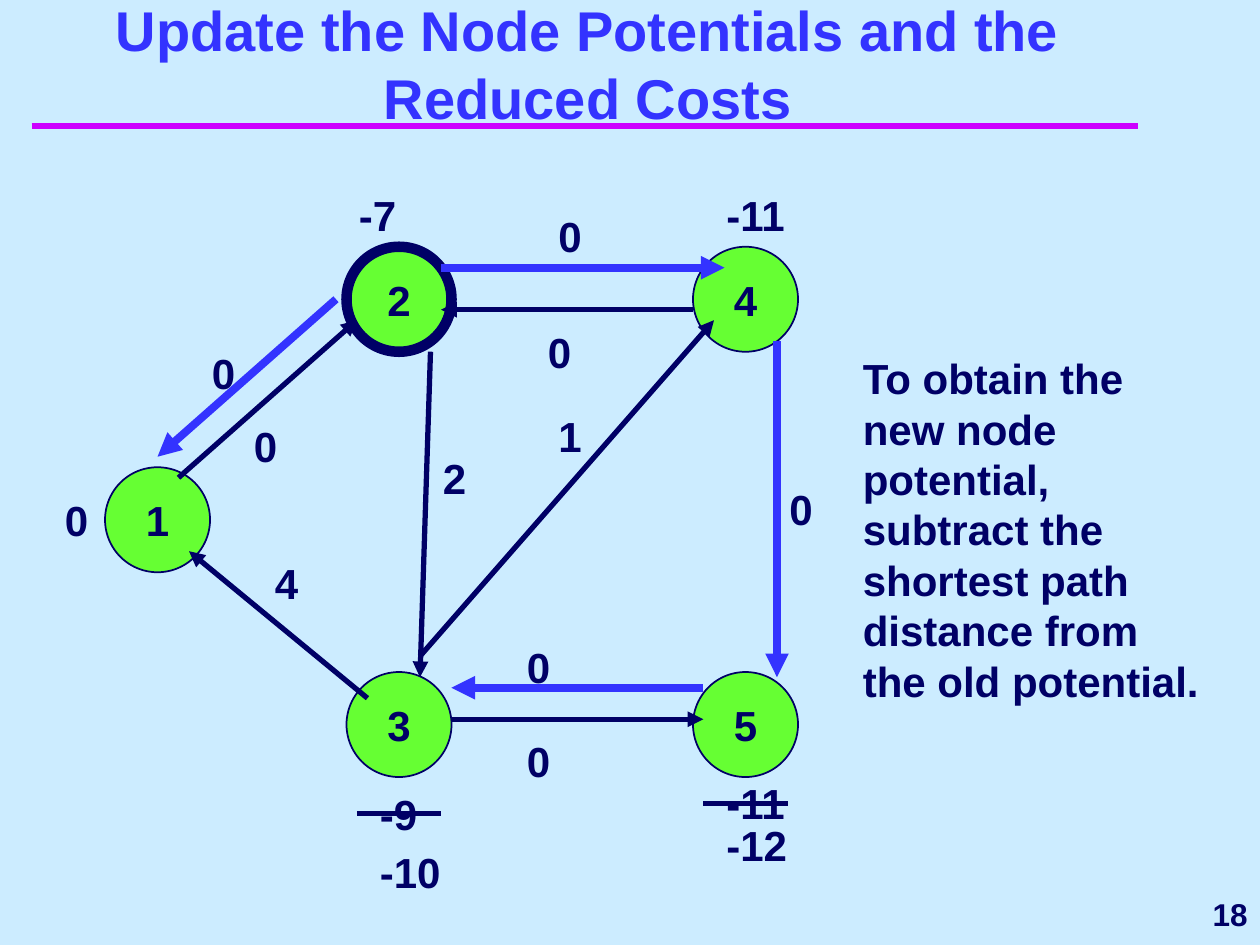
"""Build the slide on updating node potentials and reduced costs."""
from typing import Any, NamedTuple

from lxml.etree import SubElement
from pptx import Presentation
from pptx.dml.color import RGBColor
from pptx.enum.shapes import MSO_CONNECTOR as Connector, MSO_SHAPE as Shape
from pptx.enum.text import MSO_ANCHOR as Anchor, MSO_AUTO_SIZE as AutoSize, PP_ALIGN as Align
from pptx.oxml.ns import qn
from pptx.util import Cm, Pt

SKY = RGBColor(0xCC, 0xEC, 0xFF)
NAVY = RGBColor(0x00, 0x00, 0x66)
BLUE = RGBColor(0x33, 0x33, 0xFF)
GREEN = RGBColor(0x66, 0xFF, 0x33)
MAGENTA = RGBColor(0xCC, 0x00, 0xFF)

UNIT_CM = 2.54 / 12
NODE_SIZE = 10
LABEL_HEIGHT = 6


class Node(NamedTuple):
    name: str
    left: float
    top: float
    border: float = 1


class Label(NamedTuple):
    text: str
    left: float
    top: float
    width: float = 14


class Edge(NamedTuple):
    start: tuple[float, float]
    end: tuple[float, float]
    color: RGBColor = NAVY
    width: float = 3
    arrow: bool = True


NODES = [
    Node("1", 10, 44.5),
    Node("2", 33, 23.5, border=6),
    Node("3", 33, 64),
    Node("5", 66, 64),
    Node("4", 66, 23.5),
]

TITLE_RULE = Edge((3, 12), (108.4, 12), MAGENTA, 4, arrow=False)

EDGES = [
    Edge((17, 45.5), (34, 30.5)),
    Edge((42, 25.5), (69, 25.5), BLUE, 4.5),
    Edge((74, 32.5), (74, 64.5), BLUE, 4.5),
    Edge((40, 62.5), (68, 30.5)),
    Edge((35, 66.5), (18, 52.5)),
    Edge((43, 68.5), (67, 68.5)),
    Edge((41, 33.5), (40, 64.5)),
    Edge((67, 65.5), (43, 65.5), BLUE, 4.5),
    Edge((32, 28.5), (15, 43.5), BLUE, 4.5),
    Edge((66, 29.5), (42, 29.5)),
]

STRIKES = [
    Edge((34, 77.5), (42, 77.5), arrow=False),
    Edge((67, 76.5), (75, 76.5), arrow=False),
]

POTENTIALS = [
    Label("0", 5, 46.5, 8),
    Label("-7", 33, 17.5, 8),
    Label("-11", 68, 17.5, 11),
    Label("-9", 35, 74.5, 8),
    Label("-10", 35, 80),
    Label("-11", 68, 73.5, 13),
    Label("-12", 68, 77.5, 11),
]

COSTS = [
    Label("0", 74, 45.5, 5),
    Label("0", 23, 39.5),
    Label("4", 25, 52.5),
    Label("0", 49, 69.5),
    Label("1", 52, 38.5),
    Label("2", 41, 42.5),
    Label("0", 52, 19.5),
    Label("0", 49, 60.5),
    Label("0", 19, 32.5),
    Label("0", 51, 30.5),
]


def grid(*counts: float) -> list[Cm]:
    """Convert grid units to lengths."""
    return [Cm(count * UNIT_CM) for count in counts]


def apply(target: Any, formats: dict[str, Any]) -> None:
    """Set every format value on the target."""
    for name, value in formats.items():
        setattr(target, name, value)


def write(shape: Any, text: str, size: float = 24, color: RGBColor = NAVY,
          align: Align = Align.LEFT, **frame_formats: Any) -> None:
    """Write one bold paragraph into a shape."""
    frame = shape.text_frame
    apply(frame, {"word_wrap": True, **frame_formats})
    para = frame.paragraphs[0]
    para.alignment = align
    span = para.add_run()
    span.text = text
    apply(span.font, {"name": "Arial", "size": Pt(size), "bold": True})
    span.font.color.rgb = color


def draw_node(page: Any, node: Node) -> None:
    """Draw a numbered graph node."""
    circle = page.shapes.add_shape(Shape.OVAL, *grid(node.left, node.top, NODE_SIZE, NODE_SIZE))
    circle.shadow.inherit = False
    circle.fill.solid()
    circle.fill.fore_color.rgb = GREEN
    circle.line.color.rgb = NAVY
    circle.line.width = Pt(node.border)
    write(circle, node.name, align=Align.CENTER, word_wrap=False, vertical_anchor=Anchor.MIDDLE)


def draw_edge(page: Any, edge: Edge) -> None:
    """Draw a straight line, with an arrowhead if wanted."""
    line = page.shapes.add_connector(Connector.STRAIGHT, *grid(*edge.start, *edge.end))
    line.line.color.rgb = edge.color
    line.line.width = Pt(edge.width)
    if edge.arrow:
        SubElement(line.line._get_or_add_ln(), qn("a:tailEnd"), type="triangle")
    SubElement(line._element.spPr, qn("a:effectLst"))


def draw_label(page: Any, label: Label, height: float = LABEL_HEIGHT, **formats: Any) -> None:
    """Draw a text box."""
    box = page.shapes.add_textbox(*grid(label.left, label.top, label.width, height))
    write(box, label.text, **formats)


def main() -> None:
    """Build and save the deck."""
    deck = Presentation()
    apply(deck, {"slide_width": Cm(25.4), "slide_height": Cm(19.05)})
    page = deck.slides.add_slide(deck.slide_layouts[6])
    page.background.fill.solid()
    page.background.fill.fore_color.rgb = SKY

    draw_edge(page, TITLE_RULE)
    title = Label("Update the Node Potentials and the Reduced Costs", 5, 8, 102)
    draw_label(page, title, 5, size=32, color=BLUE, align=Align.CENTER,
               vertical_anchor=Anchor.BOTTOM)
    for node in NODES:
        draw_node(page, node)
    for edge in EDGES:
        draw_edge(page, edge)
    for label in POTENTIALS + COSTS:
        draw_label(page, label, auto_size=AutoSize.SHAPE_TO_FIT_TEXT)
    for strike in STRIKES:
        draw_edge(page, strike)
    advice = Label("To obtain the new node potential, subtract the shortest path "
                   "distance from the old potential.", 81, 33, 35)
    draw_label(page, advice, 34.8, auto_size=AutoSize.SHAPE_TO_FIT_TEXT)
    draw_label(page, Label("18", 97, 84, 23), size=18, align=Align.RIGHT,
               vertical_anchor=Anchor.MIDDLE)
    deck.save("out.pptx")


if __name__ == "__main__":
    main()
